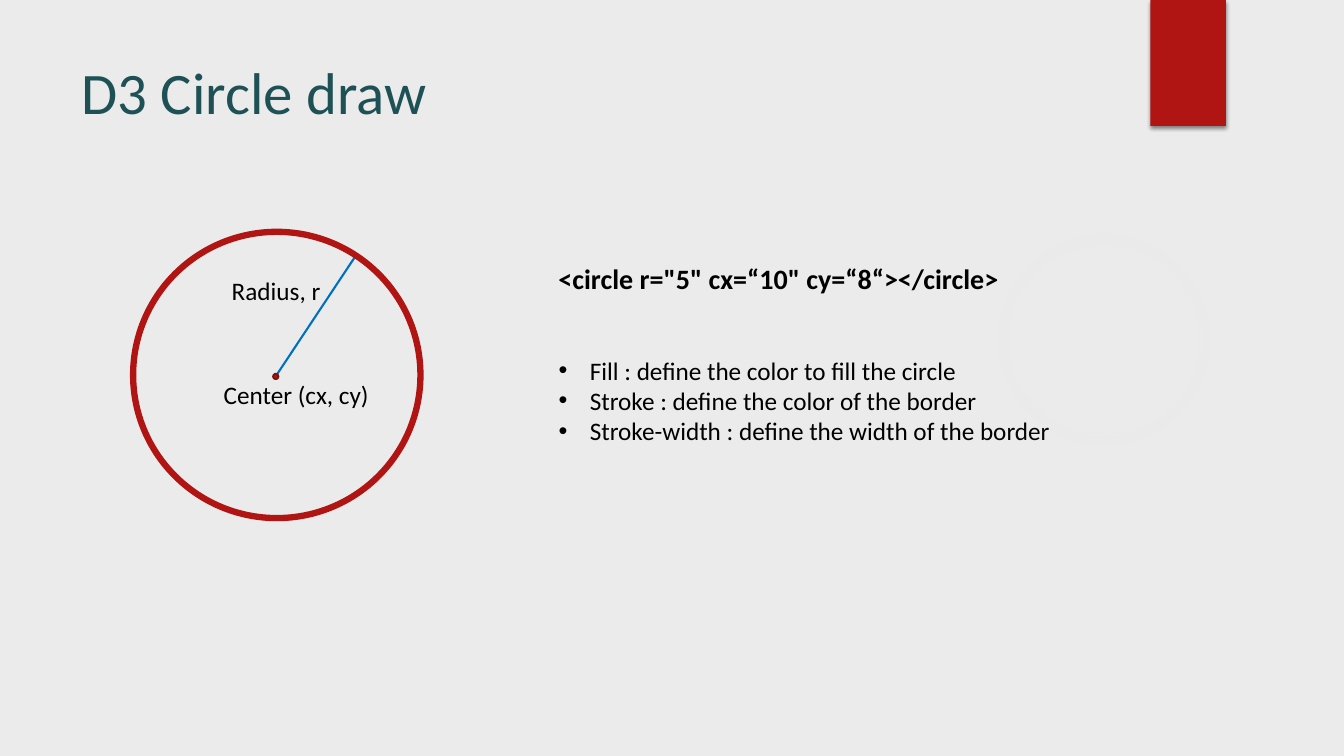
import pptx
import pptx.util
import pptx.dml.color
import pptx.enum.shapes
import pptx.enum.text
import pptx.oxml
import pptx.oxml.ns

TITLE = "D3 Circle draw"
CODE = '<circle r="5" cx=“10" cy=“8“></circle>'
ATTRS = [
    "Fill : define the color to fill the circle",
    "Stroke : define the color of the border",
    "Stroke-width : define the width of the border",
]
LABELS = [("Center (cx, cy)", (2.12, 3.71, 1.66, 0.4)),
          ("Radius, r", (2.2, 2.68, 1.09, 0.4))]
RED, BLACK = "B01513", "000000"
GLOW = [(0, 7), (36, 6), (69, 0)]
INDENT = 0.31

Inch, Pt = pptx.util.Inches, pptx.util.Pt
KIND = pptx.enum.shapes.MSO_SHAPE
NS = pptx.oxml.ns.nsdecls("a")


def color(code):
    return pptx.dml.color.RGBColor.from_string(code)


def place(item, box):
    item.left, item.top, item.width, item.height = map(Inch, box)


def write(item, lines, size=18, ink=BLACK, bold=False, wrap=True, bullet=None):
    frame = item.text_frame
    frame.text = "\n".join(lines)
    frame.word_wrap = wrap
    frame.vertical_anchor = pptx.enum.text.MSO_ANCHOR.TOP
    frame.auto_size = pptx.enum.text.MSO_AUTO_SIZE.NONE
    for para in frame.paragraphs:
        para.alignment = pptx.enum.text.PP_ALIGN.LEFT
        para.space_before = Pt(0)
        if bullet:
            props = para._p.get_or_add_pPr()
            props.set("marL", str(Inch(INDENT)))
            props.set("indent", str(-Inch(INDENT)))
            for tag in (f'<a:buFont {NS} typeface="Arial"/>',
                        f'<a:buChar {NS} char="{bullet}"/>'):
                props.append(pptx.oxml.parse_xml(tag))
        for run in para.runs:
            run.font.name, run.font.size, run.font.bold = "Calibri", Pt(size), bold
            run.font.color.rgb = color(ink)


def draw(slide, kind, box, fill=None, line=None, width=1.5):
    item = slide.shapes.add_shape(kind, *map(Inch, box))
    item.shadow.inherit = False
    if fill:
        item.fill.solid()
        item.fill.fore_color.rgb = color(fill)
    else:
        item.fill.background()
    if line:
        item.line.color.rgb = color(line)
        item.line.width = Pt(width)
    else:
        item.line.fill.background()
    return item


def glow(item):
    """Fill with a faint radial gradient."""
    stops = "".join(
        f'<a:gs pos="{pos * 1000}"><a:srgbClr val="F3F3F3">'
        f'<a:alpha val="{alpha * 1000}"/></a:srgbClr></a:gs>' for pos, alpha in GLOW)
    props = item._element.spPr
    props.replace(props.find(pptx.oxml.ns.qn("a:noFill")), pptx.oxml.parse_xml(
        f'<a:gradFill {NS}><a:gsLst>{stops}</a:gsLst><a:path path="circle">'
        '<a:fillToRect l="50000" t="50000" r="50000" b="50000"/></a:path></a:gradFill>'))


def shade(item):
    """Cast a soft shadow straight down."""
    item._element.spPr.find(pptx.oxml.ns.qn("a:effectLst")).append(pptx.oxml.parse_xml(
        f'<a:outerShdw {NS} blurRad="{Pt(3)}" dist="{Pt(2)}" dir="5400000" '
        f'rotWithShape="0"><a:srgbClr val="{BLACK}"><a:alpha val="45000"/>'
        '</a:srgbClr></a:outerShdw>'))


def main():
    deck = pptx.Presentation()
    deck.slide_width, deck.slide_height = Inch(13.33), Inch(7.5)
    slide = deck.slides.add_slide(deck.slide_layouts[1])
    slide.background.fill.solid()
    slide.background.fill.fore_color.rgb = color("EBEBEB")

    glow(draw(slide, KIND.OVAL, (9.41, 1.83, 3.08, 3.08)))
    shade(draw(slide, KIND.RECTANGLE, (11.41, 0, 0.75, 1.25), fill=RED))

    radius = slide.shapes.add_connector(
        pptx.enum.shapes.MSO_CONNECTOR.STRAIGHT, *map(Inch, (2.75, 3.71, 3.52, 2.55)))
    radius.line.color.rgb = color("0070C0")
    radius.line.width = Pt(1.5)
    radius._element.spPr.append(pptx.oxml.parse_xml(f"<a:effectLst {NS}/>"))
    draw(slide, KIND.OVAL, (1.32, 2.3, 2.85, 2.84), line=RED, width=4.5)
    draw(slide, KIND.OVAL, (2.71, 3.71, 0.05, 0.05), fill=RED, line="82100E")

    title, body = slide.placeholders
    place(title, (0.71, 0.5, 10.29, 1.53))
    write(title, [TITLE], size=42, ink="1E5155")
    place(body, (5.44, 3.47, 5.14, 1.01))
    write(body, ATTRS, wrap=False, bullet="•")

    for text, box in LABELS:
        write(slide.shapes.add_textbox(*map(Inch, box)), [text], wrap=False)
    code = slide.shapes.add_textbox(*map(Inch, (5.44, 2.55, 5.97, 0.44)))
    write(code, [CODE], size=20, bold=True)
    deck.save("out.pptx")


if __name__ == "__main__":
    main()
